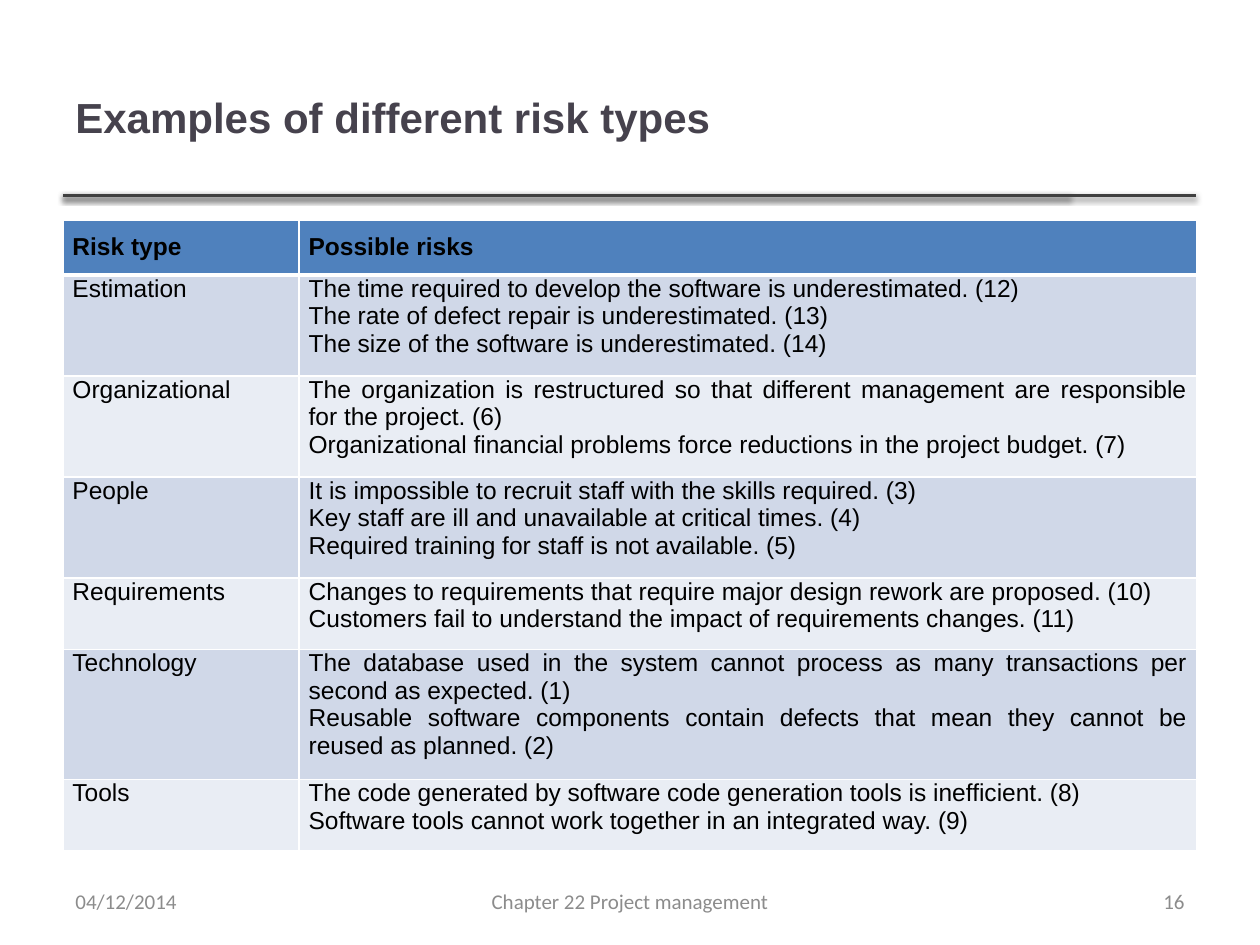
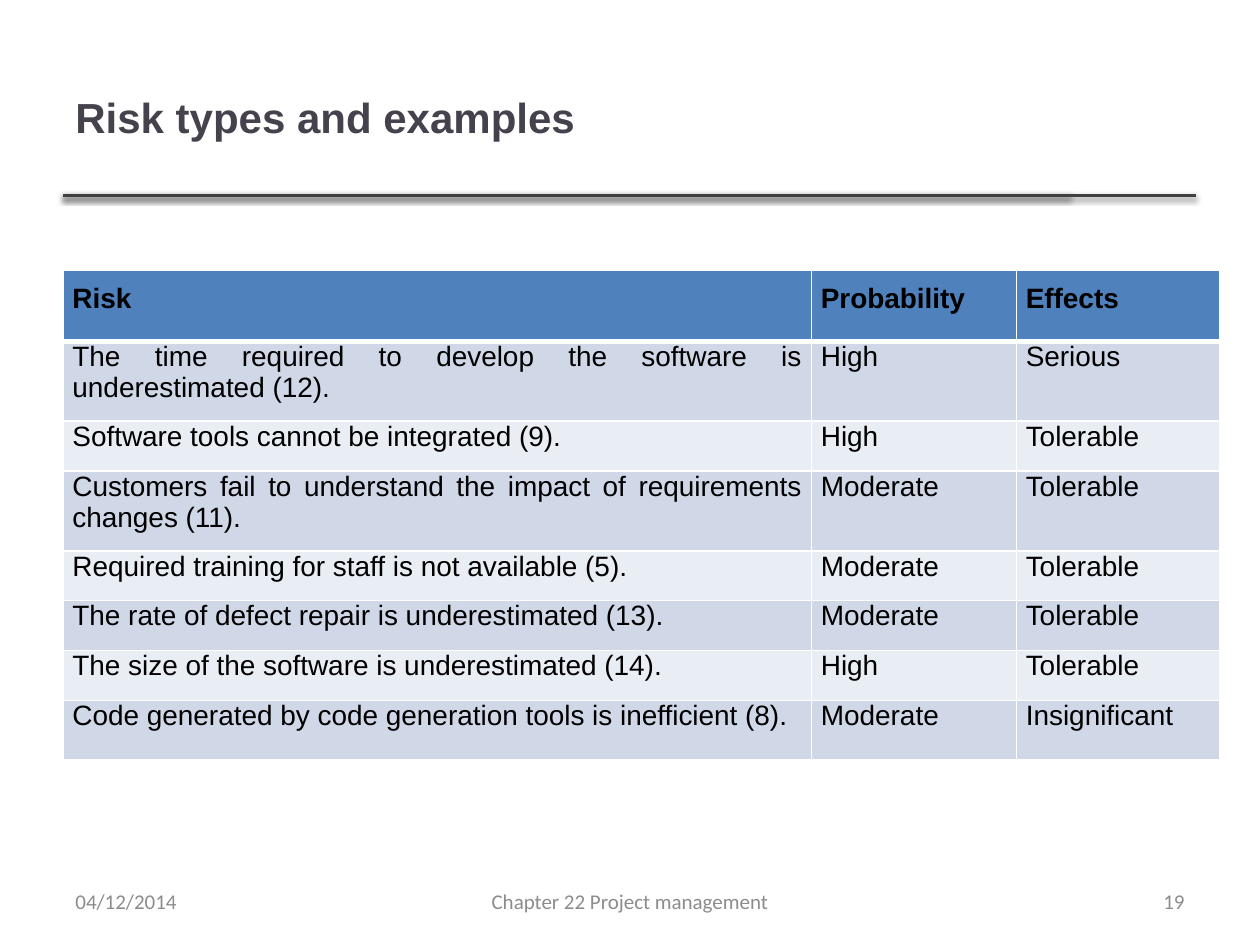
from lxml import etree
from pptx import Presentation
from pptx.dml.color import RGBColor
from pptx.enum import shapes, text
from pptx.oxml import parse_xml
from pptx.oxml.ns import nsdecls, qn
from pptx.util import Pt

LEFT, CENTER, RIGHT, JUSTIFY = (text.PP_ALIGN.LEFT, text.PP_ALIGN.CENTER,
                                text.PP_ALIGN.RIGHT, text.PP_ALIGN.JUSTIFY)


def rgb(value):
    return RGBColor.from_string(value)


class Deck:
    """Holds the shared style and the current slide."""

    TITLE = dict(name="Arial", size=Pt(24), bold=True, color="46424D")
    FOOTER = dict(name="Calibri", size=Pt(12), bold=False, color="8C8C8C")
    BODY = dict(name="Arial", bold=False, color="000000")
    RULE, BORDER, HEADER = "404040", "FFFFFF", "4F81BD"
    BANDS = ("D0D8E8", "E9EDF4")

    def __init__(self, prs):
        self.prs = prs
        self.slide = None

    def add_slide(self, title, number):
        self.slide = self.prs.slides.add_slide(self.prs.slide_layouts[6])
        for end in (611.3, 683.3):
            self.rule(36, end, 111.6)
        self.text(title, (36, 21.6, 574.6, 90), LEFT, self.TITLE)
        self.text("04/12/2014", (36, 500.4, 168, 28.8), LEFT, self.FOOTER)
        self.text("Chapter 22 Project management", (246, 500.4, 228, 28.8), CENTER, self.FOOTER)
        self.text(str(number), (516, 500.4, 168, 28.8), RIGHT, self.FOOTER)

    def run(self, p, words, align, style):
        p.alignment = align
        r = p.add_run()
        r.text = words
        for key, value in style.items():
            if key == "color":
                r.font.color.rgb = rgb(value)
            else:
                setattr(r.font, key, value)

    def text(self, words, box, align, style):
        sp = self.slide.shapes.add_textbox(*map(Pt, box))
        tf = sp.text_frame
        tf.word_wrap = True
        tf.vertical_anchor = text.MSO_ANCHOR.MIDDLE
        self.run(tf.paragraphs[0], words, align, style)

    def rule(self, start, end, y):
        sp = self.slide.shapes.add_connector(
            shapes.MSO_CONNECTOR.STRAIGHT, Pt(start), Pt(y), Pt(end), Pt(y))
        sp.line.color.rgb = rgb(self.RULE)
        sp.line.width = Pt(2)
        sp._element.spPr.append(parse_xml(
            f'<a:effectLst {nsdecls("a")}><a:outerShdw blurRad="{Pt(3.1)}" dist="{Pt(1.6)}" '
            'dir="5400000" rotWithShape="0"><a:srgbClr val="000000"><a:alpha val="38000"/>'
            '</a:srgbClr></a:outerShdw></a:effectLst>'))

    def borders(self, cell, sides):
        tcPr = cell._tc.get_or_add_tcPr()
        for side, width in sides.items():
            ln = etree.SubElement(tcPr, qn(f"a:ln{side}"), w=str(Pt(width)))
            fill = etree.SubElement(ln, qn("a:solidFill"))
            etree.SubElement(fill, qn("a:srgbClr"), val=self.BORDER)

    def cell(self, cell, words, row, size):
        head = row == 0
        margins = dict(left=5.4, right=5.4, top=7.2 if head else 0, bottom=7.2)
        for side, margin in margins.items():
            setattr(cell, f"margin_{side}", Pt(margin))
        self.borders(cell, dict(L=1, R=1, T=3 if row == 1 else 1, B=3 if head else 1))
        cell.fill.solid()
        cell.fill.fore_color.rgb = rgb(self.HEADER if head else self.BANDS[(row - 1) % 2])
        tf = cell.text_frame
        for i, line in enumerate(words.split("\n")):
            p = tf.add_paragraph() if i else tf.paragraphs[0]
            self.run(p, line, JUSTIFY, {**self.BODY, "size": Pt(size), "bold": head})

    def table(self, top, widths, heights, rows, size):
        box = (36, top, sum(widths), sum(heights))
        tbl = self.slide.shapes.add_table(len(rows), len(widths), *map(Pt, box)).table
        for col, width in zip(tbl.columns, widths):
            col.width = Pt(width)
        for i, (row, height) in enumerate(zip(rows, heights)):
            tbl.rows[i].height = Pt(height)
            for j, words in enumerate(row):
                self.cell(tbl.cell(i, j), words, i, size)


RISK_TYPES = [
    ("Risk type", "Possible risks"),
    ("Estimation",
     "The time required to develop the software is underestimated. (12)\n"
     "The rate of defect repair is underestimated. (13)\n"
     "The size of the software is underestimated. (14)"),
    ("Organizational",
     "The organization is restructured so that different management are responsible "
     "for the project. (6)\n"
     "Organizational financial problems force reductions in the project budget. (7)"),
    ("People",
     "It is impossible to recruit staff with the skills required. (3)\n"
     "Key staff are ill and unavailable at critical times. (4)\n"
     "Required training for staff is not available. (5)"),
    ("Requirements",
     "Changes to requirements that require major design rework are proposed. (10)\n"
     "Customers fail to understand the impact of requirements changes. (11)"),
    ("Technology",
     "The database used in the system cannot process as many transactions per "
     "second as expected. (1)\n"
     "Reusable software components contain defects that mean they cannot be "
     "reused as planned. (2)"),
    ("Tools",
     "The code generated by software code generation tools is inefficient. (8)\n"
     "Software tools cannot work together in an integrated way. (9)"),
]
RISK_EFFECTS = [
    ("Risk", "Probability", "Effects"),
    ("The time required to develop the software is underestimated (12).", "High", "Serious"),
    ("Software tools cannot be integrated (9).", "High", "Tolerable"),
    ("Customers fail to understand the impact of requirements changes (11).",
     "Moderate", "Tolerable"),
    ("Required training for staff is not available (5).", "Moderate", "Tolerable"),
    ("The rate of defect repair is underestimated (13).", "Moderate", "Tolerable"),
    ("The size of the software is underestimated (14).", "High", "Tolerable"),
    ("Code generated by code generation tools is inefficient (8).", "Moderate", "Insignificant"),
]

prs = Presentation()
prs.slide_width, prs.slide_height = Pt(720), Pt(540)
deck = Deck(prs)

deck.add_slide("Examples of different risk types", 16)
deck.table(126, (135, 513), [29.5] * len(RISK_TYPES), RISK_TYPES, 14)

deck.add_slide("Risk types and examples", 19)
deck.table(154.4, (427.7, 117.1, 116.2), (40.7, 34, 28.5, 34, 28.5, 28.5, 28.5, 34),
           RISK_EFFECTS, 16)

prs.save("out.pptx")
